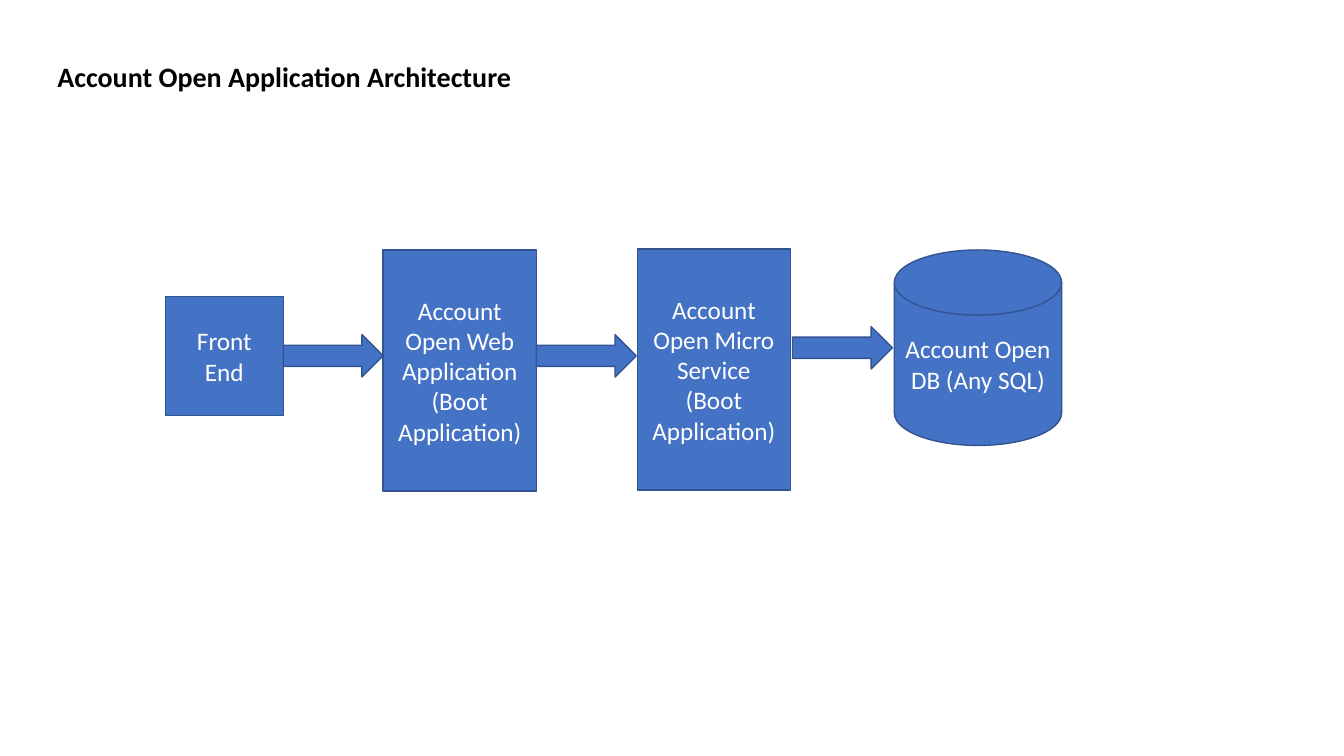
from pptx import Presentation
from pptx import util as u
from pptx.dml.color import RGBColor
from pptx.enum import shapes, text

prs = Presentation()
prs.slide_width, prs.slide_height = u.Inches(13.33), u.Inches(7.5)
s = prs.slides.add_slide(prs.slide_layouts[6])


def style(font, size, color, bold=False):
    font.name, font.size, font.bold = "Calibri", u.Pt(size), bold
    font.color.rgb = RGBColor.from_string(color)


def add_block(kind, left, top, width, height, label=""):
    sp = s.shapes.add_shape(kind, *(u.Inches(v) for v in (left, top, width, height)))
    sp.shadow.inherit = False
    sp.fill.solid()
    sp.fill.fore_color.rgb = RGBColor.from_string("4472C4")
    sp.line.color.rgb = RGBColor.from_string("325491")
    sp.line.width = u.Pt(1)
    if label:
        tf = sp.text_frame
        tf.text = label
        tf.word_wrap = True
        tf.vertical_anchor = text.MSO_ANCHOR.MIDDLE
        p = tf.paragraphs[0]
        p.alignment = text.PP_ALIGN.CENTER
        style(p.runs[0].font, 18, "FFFFFF")


# Components, from front end to database
box = shapes.MSO_SHAPE.RECTANGLE
disk = shapes.MSO_SHAPE.FLOWCHART_MAGNETIC_DISK
components = [
    (box, 1.64, 2.94, 1.17, 1.18, "Front End"),
    (box, 3.8, 2.48, 1.52, 2.39, "Account Open Web Application (Boot Application)"),
    (box, 6.32, 2.47, 1.52, 2.39, "Account Open Micro Service (Boot Application)"),
    (disk, 8.87, 2.48, 1.66, 1.94, "Account Open DB (Any SQL)"),
]
for component in components:
    add_block(*component)

# Arrows between neighbours
for left, top in [(2.81, 3.32), (5.32, 3.32), (7.86, 3.24)]:
    add_block(shapes.MSO_SHAPE.RIGHT_ARROW, left, top, 0.99, 0.42)

# Title
title = s.shapes.add_textbox(*(u.Inches(v) for v in (0.47, 0.54, 5.04, 0.44)))
tf = title.text_frame
tf.text = "Account Open Application Architecture"
tf.word_wrap = True
style(tf.paragraphs[0].runs[0].font, 20, "000000", bold=True)

prs.save("out.pptx")
